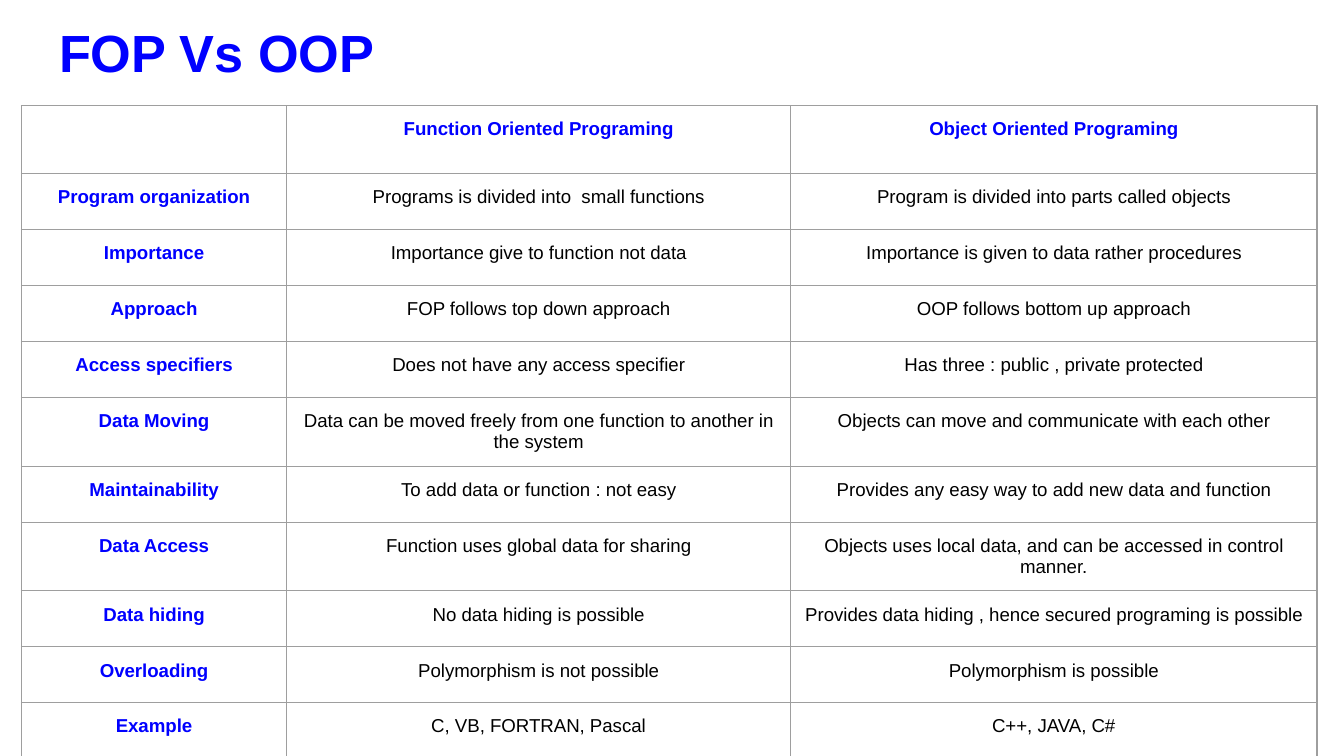
from lxml import etree
from pptx import Presentation
from pptx.dml.color import RGBColor
from pptx.enum.text import MSO_ANCHOR, MSO_AUTO_SIZE, PP_ALIGN
from pptx.oxml.ns import qn
from pptx.util import Pt

CENTER, LEFT = PP_ALIGN.CENTER, PP_ALIGN.LEFT
TOP, NO_AUTOFIT = MSO_ANCHOR.TOP, MSO_AUTO_SIZE.NONE

FONT = "Arial"
BLUE, BLACK, GREY = "0000FF", "000000", "9E9E9E"
INSET, BORDER = 7.2, 0.75

TITLE = "FOP Vs OOP"
COMPARISON = [
    ("", "Function Oriented Programing", "Object Oriented Programing"),
    ("Program organization", "Programs is divided into  small functions",
     "Program is divided into parts called objects"),
    ("Importance", "Importance give to function not data",
     "Importance is given to data rather procedures"),
    ("Approach", "FOP follows top down approach", "OOP follows bottom up approach"),
    ("Access specifiers", "Does not have any access specifier",
     "Has three : public , private protected"),
    ("Data Moving",
     "Data can be moved freely from one function to another in the system",
     "Objects can move and communicate with each other"),
    ("Maintainability", "To add data or function : not easy",
     "Provides any easy way to add new data and function"),
    ("Data Access", "Function uses global data for sharing",
     "Objects uses local data, and can be accessed in control manner."),
    ("Data hiding", "No data hiding is possible",
     "Provides data hiding , hence secured programing is possible"),
    ("Overloading", "Polymorphism is not possible", "Polymorphism is possible"),
    ("Example", "C, VB, FORTRAN, Pascal", "C++, JAVA, C#"),
]
COLUMN_WIDTHS = (142, 270, 282)
ROW_HEIGHT = 30


def rgb(hex_colour):
    return RGBColor.from_string(hex_colour)


def set_insets(holder):
    holder.margin_left = holder.margin_right = Pt(INSET)
    holder.margin_top = holder.margin_bottom = Pt(INSET)


def write(paragraph, words, size, colour, bold, alignment):
    paragraph.alignment = alignment
    run = paragraph.add_run()
    run.text = words
    run.font.name = FONT
    run.font.size = Pt(size)
    run.font.bold = bold
    run.font.color.rgb = rgb(colour)


def add_borders(cell):
    properties = cell._tc.get_or_add_tcPr()
    for position, side in enumerate(("lnL", "lnR", "lnT", "lnB")):
        line = etree.Element(qn(f"a:{side}"), w=str(Pt(BORDER)))
        fill = etree.SubElement(line, qn("a:solidFill"))
        etree.SubElement(fill, qn("a:srgbClr"), val=GREY)
        properties.insert(position, line)


def add_title(slide):
    title = slide.shapes.title
    title.left, title.top, title.width, title.height = map(Pt, (24.5, 3.6, 671, 45.4))
    frame = title.text_frame
    set_insets(frame)
    frame.word_wrap = True
    frame.auto_size = NO_AUTOFIT
    frame.vertical_anchor = TOP
    write(frame.paragraphs[0], TITLE, 28, BLUE, True, LEFT)


def add_comparison(slide):
    table = slide.shapes.add_table(
        len(COMPARISON), len(COLUMN_WIDTHS), Pt(11.5), Pt(56.6),
        Pt(sum(COLUMN_WIDTHS)), Pt(ROW_HEIGHT * len(COMPARISON))).table
    table.first_row = table.horz_banding = False
    for column, width in zip(table.columns, COLUMN_WIDTHS):
        column.width = Pt(width)
    for row_index, entries in enumerate(COMPARISON):
        table.rows[row_index].height = Pt(ROW_HEIGHT)
        for column_index, entry in enumerate(entries):
            cell = table.cell(row_index, column_index)
            set_insets(cell)
            cell.vertical_anchor = TOP
            cell.fill.background()
            add_borders(cell)
            if entry:
                heading = row_index == 0 or column_index == 0
                write(cell.text_frame.paragraphs[0], entry, 10,
                      BLUE if heading else BLACK, heading, CENTER)


def main():
    deck = Presentation()
    deck.slide_width, deck.slide_height = Pt(720), Pt(405)
    slide = deck.slides.add_slide(deck.slide_layouts[5])
    add_title(slide)
    add_comparison(slide)
    deck.save("out.pptx")


if __name__ == "__main__":
    main()
